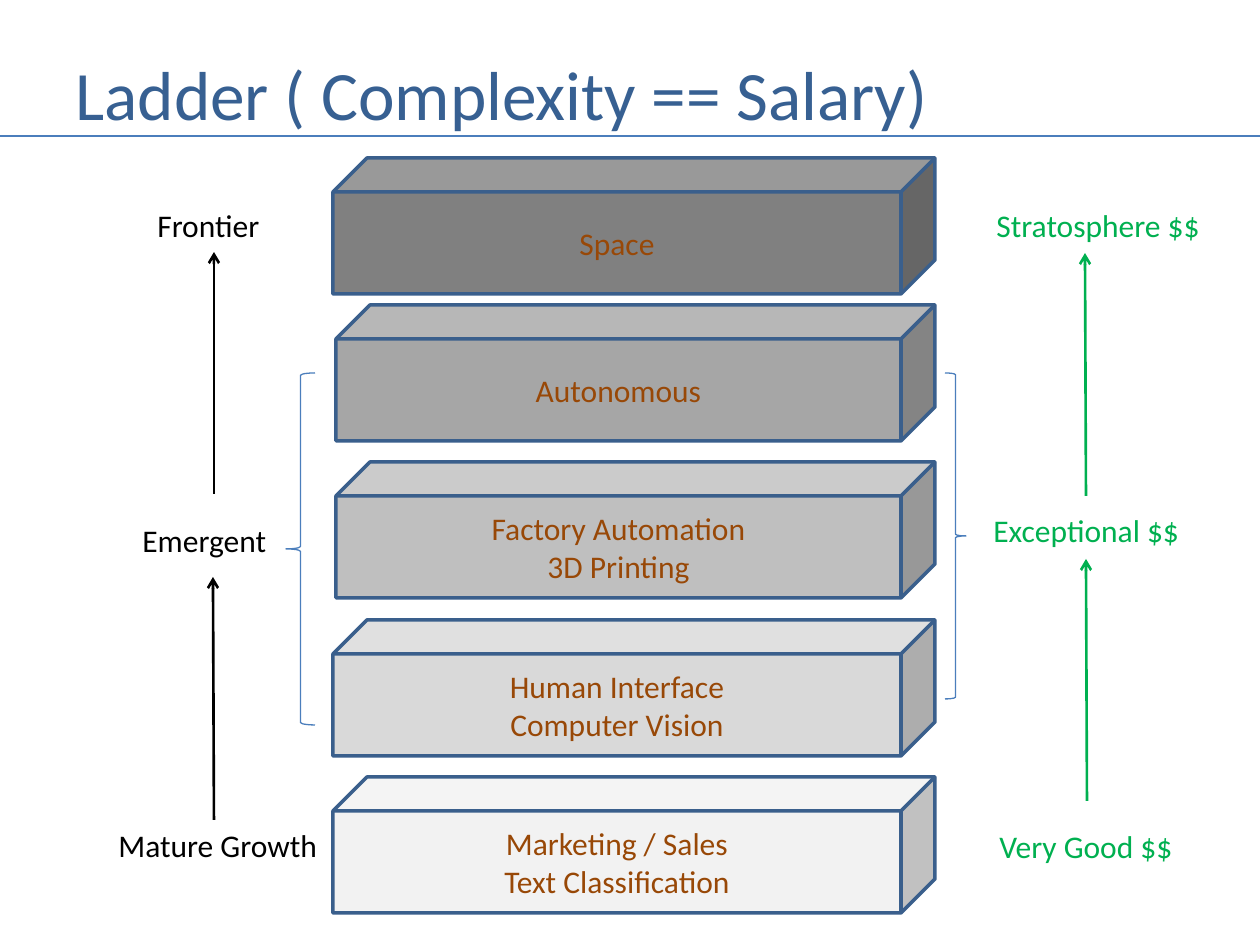
import pptx
import pptx.dml.color
import pptx.enum.shapes
import pptx.enum.text
import pptx.oxml
import pptx.oxml.ns
import pptx.util

PX = 914400 / 126  # EMU per px
THEME = {
    "font": "Calibri", "title_size": 39.6, "body_size": 18,
    "title": "376092", "step_text": "984807", "step_edge": "3A5F8C",
    "rule": "4B7EBC", "stage": "000000", "salary": "00B050",
}
SHAPE = pptx.enum.shapes.MSO_SHAPE
ALIGN = pptx.enum.text.PP_ALIGN
ANCHOR = pptx.enum.text.MSO_ANCHOR
rgb = pptx.dml.color.RGBColor.from_string


def write(frame, text, size, color, align):
    frame.text = text
    for paragraph in frame.paragraphs:
        paragraph.alignment = align
        for run in paragraph.runs:
            run.font.name = THEME["font"]
            run.font.size = pptx.util.Pt(size)
            run.font.color.rgb = rgb(color)


def draw_line(ends, color, arrow=False):
    line = slide.shapes.add_connector(
        pptx.enum.shapes.MSO_CONNECTOR.STRAIGHT, *[round(v * PX) for v in ends])
    line.line.color.rgb = rgb(color)
    line.line.width = pptx.util.Pt(1.5)
    properties = line._element.spPr
    if arrow:
        pptx.oxml.ns.qn("a:tailEnd")
        properties.find(pptx.oxml.ns.qn("a:ln")).append(pptx.oxml.parse_xml(
            f'<a:tailEnd {pptx.oxml.ns.nsdecls("a")} type="arrow"/>'))
    properties.append(pptx.oxml.parse_xml(
        f'<a:effectLst {pptx.oxml.ns.nsdecls("a")}/>'))


deck = pptx.Presentation()
deck.slide_width = round(1260 * PX)
deck.slide_height = round(945 * PX)
slide = deck.slides.add_slide(deck.slide_layouts[6])

# Title and rule
title = slide.shapes.add_textbox(*[round(v * PX) for v in (63, 38, 892, 110)])
title.text_frame.word_wrap = True
title.text_frame.vertical_anchor = ANCHOR.MIDDLE
write(title.text_frame, "Ladder ( Complexity == Salary)",
      THEME["title_size"], THEME["title"], ALIGN.LEFT)
draw_line((0, 136, 1260, 136), THEME["rule"])

# Ladder steps, bottom to top, sharing one right edge
STEP_RIGHT, STEP_HEIGHT = 935, 136
steps = [
    ("Marketing / Sales\nText Classification", 333, 777, "F2F2F2"),
    ("Human Interface\vComputer Vision", 333, 620, "D9D9D9"),
    ("Factory Automation\v3D Printing", 336, 462, "BFBFBF"),
    ("Autonomous", 336, 305, "A6A6A6"),
    ("Space", 333, 158, "808080"),
]
for text, left, top, fill in steps:
    step = slide.shapes.add_shape(SHAPE.CUBE, *[
        round(v * PX) for v in (left, top, STEP_RIGHT - left, STEP_HEIGHT)])
    step.shadow.inherit = False
    step.fill.solid()
    step.fill.fore_color.rgb = rgb(fill)
    step.line.color.rgb = rgb(THEME["step_edge"])
    step.line.width = pptx.util.Pt(2)
    step.text_frame.vertical_anchor = ANCHOR.MIDDLE
    write(step.text_frame, text, THEME["body_size"], THEME["step_text"], ALIGN.CENTER)

# Braces around the middle steps
for kind, box in [(SHAPE.LEFT_BRACE, (286, 373, 29, 352)),
                  (SHAPE.RIGHT_BRACE, (945, 373, 21, 326))]:
    brace = slide.shapes.add_shape(kind, *[round(v * PX) for v in box])
    brace.shadow.inherit = False
    brace.fill.background()
    brace.line.color.rgb = rgb(THEME["rule"])
    brace.line.width = pptx.util.Pt(0.75)

# Stage labels on the left, salary labels on the right
labels = [
    ("Frontier", 145, 200, 128, "stage"),
    ("Emergent", 130, 515, 151, "stage"),
    ("Mature Growth", 106, 820, 227, "stage"),
    ("Stratosphere $$", 984, 200, 231, "salary"),
    ("Exceptional $$", 981, 505, 213, "salary"),
    ("Very Good $$", 987, 821, 200, "salary"),
]
for text, left, top, width, role in labels:
    label = slide.shapes.add_textbox(*[round(v * PX) for v in (left, top, width, 51)])
    label.text_frame.word_wrap = False
    label.text_frame.auto_size = pptx.enum.text.MSO_AUTO_SIZE.SHAPE_TO_FIT_TEXT
    write(label.text_frame, text, THEME["body_size"], THEME[role], ALIGN.LEFT)

# Arrows climbing between the labels
climbs = [
    ((214, 820, 213, 577), "stage"),
    ((214, 494, 214, 252), "stage"),
    ((1087, 801, 1086, 559), "salary"),
    ((1086, 496, 1085, 253), "salary"),
]
for ends, role in climbs:
    draw_line(ends, THEME[role], arrow=True)

deck.save("out.pptx")
